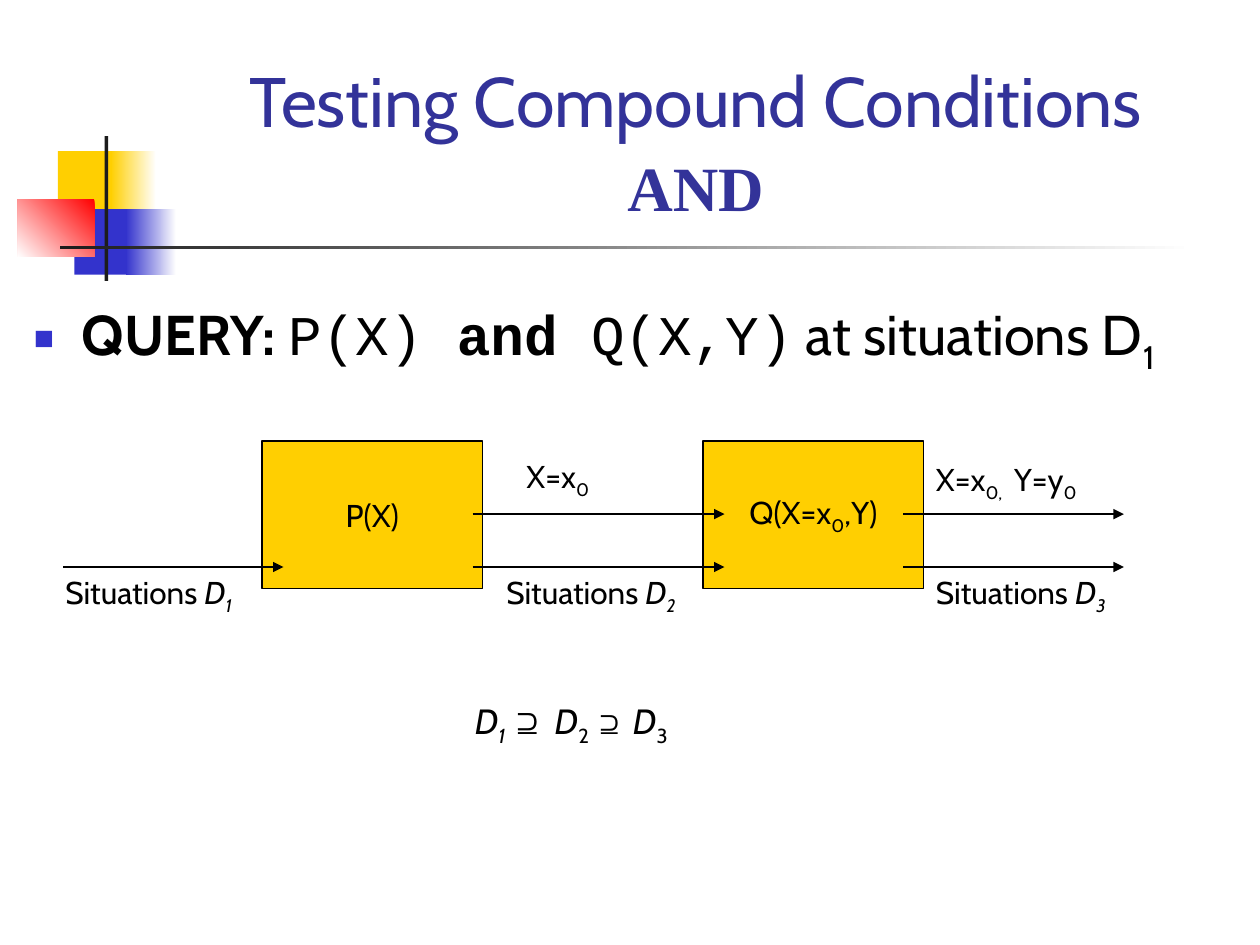
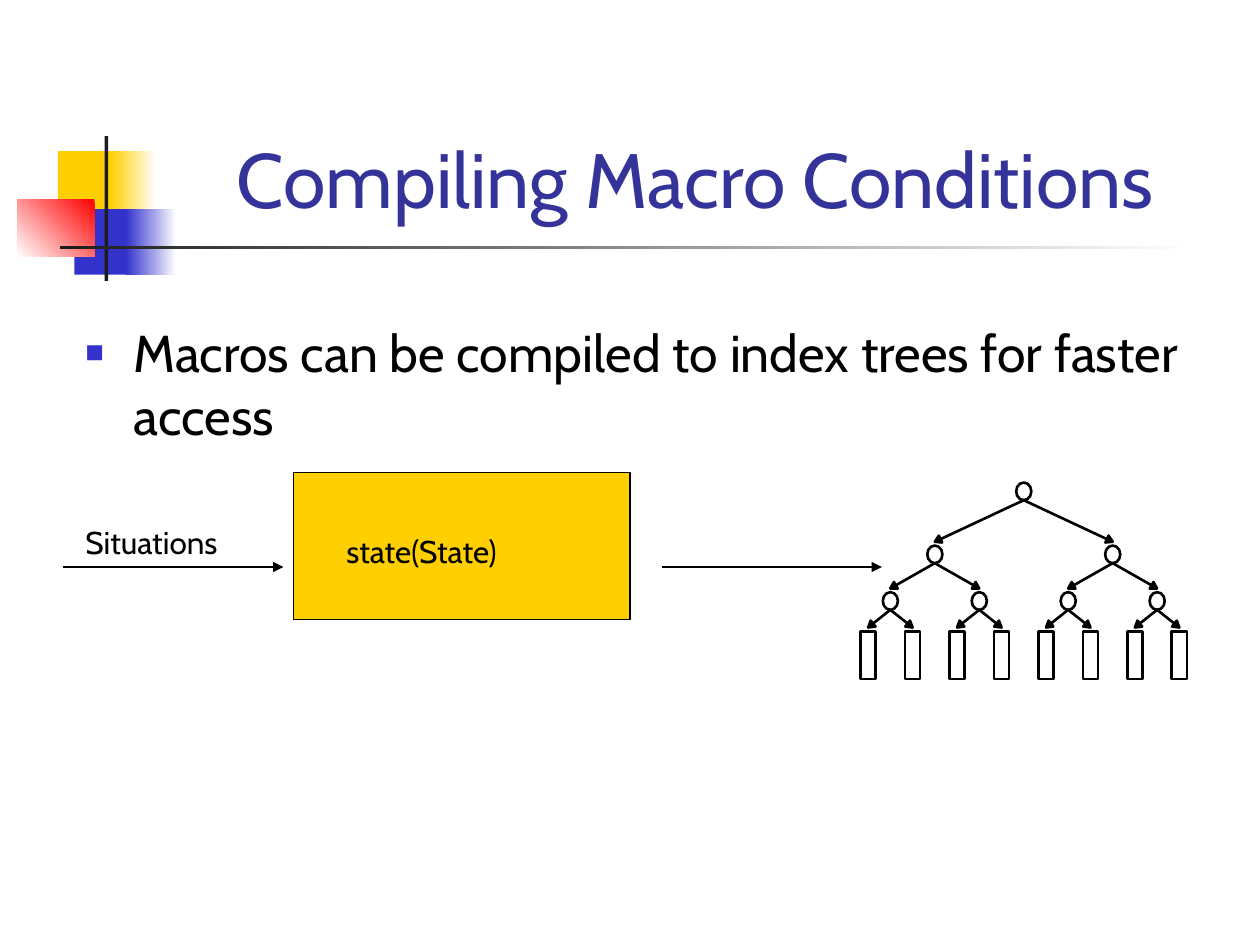
from dataclasses import dataclass
from math import hypot
from typing import NamedTuple

from lxml import etree
from pptx import Presentation
from pptx import util as u
from pptx.dml.color import RGBColor
from pptx.enum import shapes, text
from pptx.oxml.ns import qn

COLORS = {
    "white": "FFFFFF", "black": "000000", "ink": "1C1C1C", "title": "333399",
    "gold": "FFCF01", "blue": "3333CC", "red": "FF0000",
}
LABEL = {"size": 18, "name": "Cabin", "color": "black"}
TITLE = {**LABEL, "color": "title"}
QUERY = {**LABEL, "size": 32}
CODE = {**QUERY, "name": "Courier New"}
RELATION = {**LABEL, "size": 20}
SUBSET = {**RELATION, "name": "Arial", "bold": True}
CENTERED = {"alignment": text.PP_ALIGN.CENTER}
TITLE_FRAME = {"vertical_anchor": text.MSO_ANCHOR.BOTTOM}
BOX_FRAME = {"vertical_anchor": text.MSO_ANCHOR.MIDDLE, "word_wrap": False}


class Area(NamedTuple):
    left: float
    top: float
    width: float
    height: float

    def lengths(self) -> list:
        return [u.Inches(value) for value in self]


class Point(NamedTuple):
    x: float
    y: float


class Span(NamedTuple):
    words: str
    style: dict = LABEL
    subscript: bool = False


@dataclass
class Block:
    area: Area
    fill: str
    fade_from: str = ""
    angle: int = 180
    line: float = 0
    kind: shapes.MSO_SHAPE = shapes.MSO_SHAPE.RECTANGLE


@dataclass
class Label:
    area: Area
    spans: list


# Theme decoration shared by the slides
DECORATION = [
    Block(Area(0.46, 1.2, 0.48, 0.52), "gold"),
    Block(Area(0.88, 1.2, 0.36, 0.52), "gold", "white"),
    Block(Area(0.59, 1.66, 0.46, 0.52), "blue"),
    Block(Area(1, 1.66, 0.4, 0.52), "blue", "white"),
    Block(Area(0.14, 1.58, 0.61, 0.46), "white", "red", 225),
    Block(Area(0.83, 1.08, 0.03, 1.15), "ink"),
    Block(Area(0.48, 1.95, 9, 0.03), "ink", "white"),
]


def rgb(name: str) -> RGBColor:
    return RGBColor.from_string(COLORS[name])


def apply(target, values: dict) -> None:
    for name, value in values.items():
        setattr(target, name, value)


def write(frame, spans: list, frame_format: dict, paragraph_format: dict,
          bullet: bool = False, tab: float = 0) -> None:
    apply(frame, {"word_wrap": True, **frame_format})
    paragraph = frame.paragraphs[0]
    apply(paragraph, paragraph_format)
    properties = paragraph._p.get_or_add_pPr()
    if bullet:
        indent = u.Inches(0.38)
        properties.set("marL", str(indent))
        properties.set("indent", str(-indent))
        color = etree.SubElement(properties, qn("a:buClr"))
        etree.SubElement(color, qn("a:srgbClr"), val=COLORS["blue"])
        etree.SubElement(properties, qn("a:buSzPct"), val="60000")
        etree.SubElement(properties, qn("a:buFont"), typeface="Arial")
        etree.SubElement(properties, qn("a:buChar"), char="■")
    if tab:
        tabs = etree.SubElement(properties, qn("a:tabLst"))
        etree.SubElement(tabs, qn("a:tab"), pos=str(u.Inches(tab)), algn="l")
    for span in spans:
        run = paragraph.add_run()
        run.text = span.words
        style = dict(span.style)
        run.font.color.rgb = rgb(style.pop("color"))
        apply(run.font, {**style, "size": u.Pt(style["size"])})
        if span.subscript:
            run._r.get_or_add_rPr().set("baseline", "-25000")


def add_text(slide, label: Label, frame_format: dict | None = None,
             paragraph_format: dict | None = None, **options) -> None:
    box = slide.shapes.add_textbox(*label.area.lengths())
    write(box.text_frame, label.spans, frame_format or {},
          paragraph_format or {}, **options)


def add_title(slide, area: Area, words: str, **style) -> None:
    add_text(slide, Label(area, [Span(words, {**TITLE, **style})]),
             TITLE_FRAME, CENTERED)


def add_block(parent, block: Block):
    shape = parent.shapes.add_shape(block.kind, *block.area.lengths())
    shape.shadow.inherit = False
    if block.fade_from:
        shape.fill.gradient()
        shape.fill.gradient_angle = block.angle
        for stop, color in zip(shape.fill.gradient_stops,
                               (block.fade_from, block.fill)):
            stop.color.rgb = rgb(color)
    else:
        shape.fill.solid()
        shape.fill.fore_color.rgb = rgb(block.fill)
    outline(shape, block.line)
    return shape


def outline(shape, width: float) -> None:
    if width:
        shape.line.color.rgb = rgb("black")
        shape.line.width = u.Pt(width)
    else:
        shape.line.fill.background()


def add_line(parent, start: Point, end: Point, width: float = 0.75,
             arrow: bool = True) -> None:
    ends = [u.Inches(value) for value in (*start, *end)]
    connector = parent.shapes.add_connector(shapes.MSO_CONNECTOR.STRAIGHT, *ends)
    outline(connector, width)
    properties = connector._element.spPr
    if arrow:
        etree.SubElement(properties.find(qn("a:ln")), qn("a:tailEnd"),
                         type="triangle")
    etree.SubElement(properties, qn("a:effectLst"))


def add_branch(group, start: Point, tip: Point) -> None:
    """Draw a tree edge: a line and a solid triangular head."""
    length = hypot(tip.x - start.x, tip.y - start.y)
    across, down = (tip.x - start.x) / length, (tip.y - start.y) / length
    base = Point(tip.x - 0.05 * across, tip.y - 0.05 * down)
    add_line(group, start, base, 1.5, arrow=False)
    corners = [(u.Inches(base.x + side * down), u.Inches(base.y - side * across))
               for side in (0.03, -0.03)]
    builder = group.shapes.build_freeform(u.Inches(tip.x), u.Inches(tip.y))
    builder.add_line_segments(corners, close=True)
    head = builder.convert_to_shape()
    head.shadow.inherit = False
    head.fill.solid()
    head.fill.fore_color.rgb = rgb("black")
    outline(head, 1.5)


def add_tree(slide) -> None:
    group = slide.shapes.add_group_shape()
    width, node_height, leaf_height, leaf_gap = 0.12, 0.14, 0.38, 0.35
    level_tops = [5.01, 4.7, 4.33, 3.83]
    # Each parent stands midway above its two children
    centers = [6.89 + 2.47 / 7 * leaf for leaf in range(8)]
    for level, top in enumerate(level_tops):
        if level:
            children = centers
            centers = [sum(children[i:i + 2]) / 2
                       for i in range(0, len(children), 2)]
            for index, child in enumerate(children):
                add_branch(group, Point(centers[index // 2], top + node_height),
                           Point(child, level_tops[level - 1] - 0.03))
        kind = shapes.MSO_SHAPE.OVAL if level else shapes.MSO_SHAPE.RECTANGLE
        height = node_height if level else leaf_height
        for center in centers:
            add_block(group, Block(Area(center - width / 2, top, width, height),
                                   "white", line=1.5, kind=kind))


def new_slide(presentation):
    slide = presentation.slides.add_slide(presentation.slide_layouts[6])
    for block in DECORATION:
        add_block(slide, block)
    return slide


def build_compound_conditions(presentation) -> None:
    slide = new_slide(presentation)
    add_title(slide, Area(1.26, 0.42, 8.52, 0.75),
              "Testing Compound Conditions", size=40)
    add_title(slide, Area(1.26, 1.08, 8.52, 0.75), "AND",
              size=36, name="Times New Roman", bold=True)
    add_text(slide, Label(Area(0.17, 2.33, 10.33, 4.5), [
        Span("QUERY: ", {**QUERY, "bold": True}), Span("P(X) ", CODE),
        Span("and", {**CODE, "bold": True}), Span(" Q(X,Y)", CODE),
        Span(" at situations D", QUERY), Span("1", QUERY, True),
    ]), bullet=True)

    # Condition boxes
    conditions = {
        2.08: [Span("P(X)")],
        5.58: [Span("Q(X=x"), Span("0", subscript=True), Span(",Y)")],
    }
    for left, spans in conditions.items():
        box = add_block(slide, Block(Area(left, 3.5, 1.75, 1.17), "gold", line=0.75))
        write(box.text_frame, spans, BOX_FRAME, CENTERED)

    # Upper arrows carry bindings, lower arrows carry situations
    for start, end in ((3.75, 5.75), (7.17, 8.92)):
        add_line(slide, Point(start, 4.08), Point(end, 4.08))
    for start, end in ((0.5, 2.25), (3.75, 5.75), (7.17, 8.92)):
        add_line(slide, Point(start, 4.5), Point(end, 4.5))
    italic = {**LABEL, "italic": True}
    for number, left in enumerate((0.42, 3.92, 7.33), 1):
        add_text(slide, Label(Area(left, 4.5, 1.92, 0.44), [
            Span("Situations "), Span("D", italic), Span(str(number), italic, True)]))
    binding = [Span("X=x"), Span("0", subscript=True)]
    add_text(slide, Label(Area(4.08, 3.58, 0.75, 0.44), binding))
    add_text(slide, Label(Area(7.33, 3.6, 1.92, 0.94), [
        *binding, Span(",", subscript=True), Span("\tY=y"),
        Span("0", subscript=True)]), tab=0.62)

    # Relation between the situation sets
    slanted = {**RELATION, "italic": True}
    add_text(slide, Label(Area(3.67, 5.5, 2.08, 0.48), [
        Span("D", slanted), Span("1 ", slanted, True), Span("⊇ ", SUBSET),
        Span("D", slanted), Span("2 ", RELATION, True),
        Span("⊇", {**SUBSET, "size": 18}), Span(" ", {**RELATION, "bold": True}),
        Span("D", slanted), Span("3", RELATION, True)]))


def build_macro_conditions(presentation) -> None:
    slide = new_slide(presentation)
    add_title(slide, Area(1.26, 0.23, 8.52, 1.6),
              "Compiling Macro Conditions", size=44)
    add_text(slide, Label(Area(0.58, 2.5, 9, 1.17), [
        Span("Macros can be compiled to index trees for faster access",
             {**LABEL, "size": 29.6})]), bullet=True)

    # Macro box with its input and output
    add_block(slide, Block(Area(2.33, 3.75, 2.67, 1.17), "gold", line=0.75))
    add_text(slide, Label(Area(2.65, 4.17, 1.53, 0.4), [Span("state(State)")]),
             {"word_wrap": False})
    add_text(slide, Label(Area(0.58, 4.1, 2.08, 0.4), [Span("Situations")]))
    for start in (0.5, 5.25):
        add_line(slide, Point(start, 4.5), Point(start + 1.75, 4.5))
    add_tree(slide)


def main() -> None:
    presentation = Presentation()
    apply(presentation, {"slide_width": u.Inches(10), "slide_height": u.Inches(7.5)})
    build_compound_conditions(presentation)
    build_macro_conditions(presentation)
    presentation.save("out.pptx")


if __name__ == "__main__":
    main()
